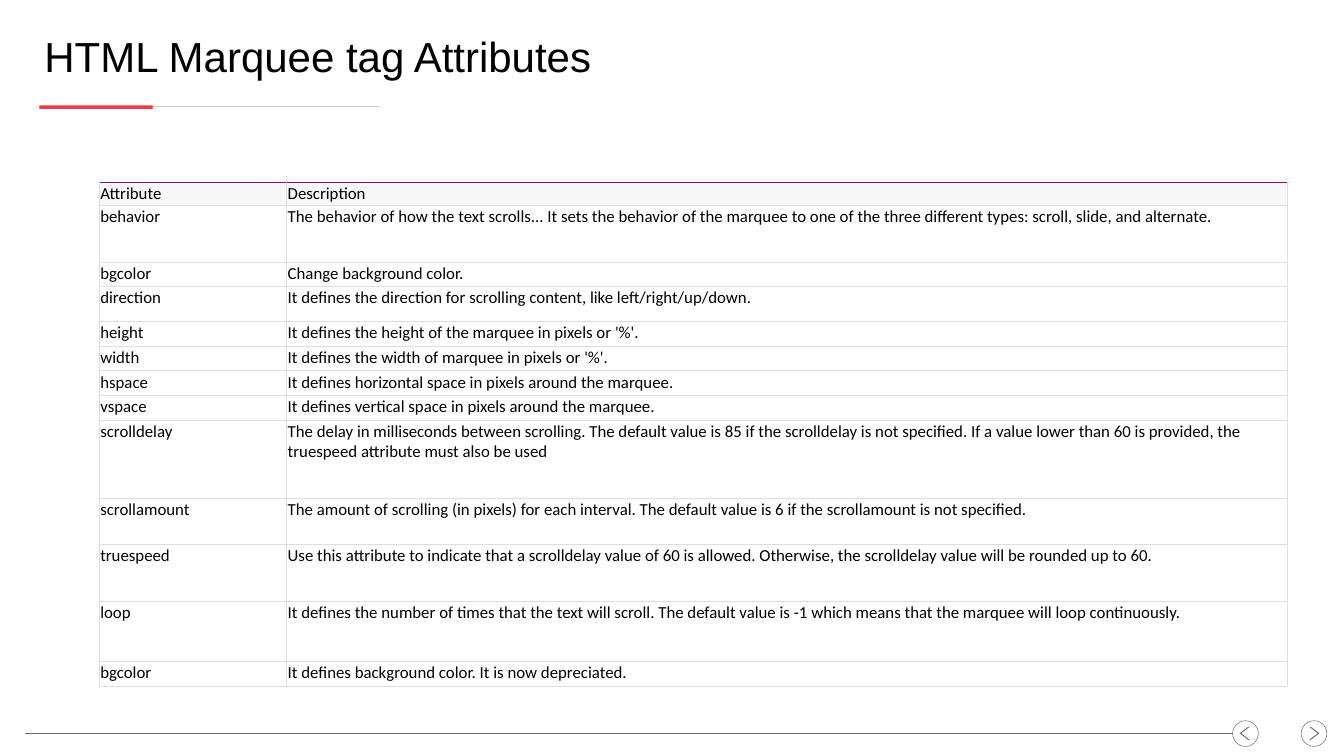
import pptx
import pptx.dml.color
import pptx.enum.shapes
import pptx.enum.text
import pptx.oxml.ns
import pptx.util
from lxml import etree

TITLE = "HTML Marquee tag Attributes"
# Attribute, description, row height in inches
ROWS = [
    ("Attribute", "Description", 0.46),
    ("behavior", "The behavior of how the text scrolls... It sets the behavior of the marquee "
     "to one of the three different types: scroll, slide, and alternate.", 1.13),
    ("bgcolor", "Change background color.", 0.46),
    ("direction", "It defines the direction for scrolling content, like left/right/up/down.", 0.7),
    ("height", "It defines the height of the marquee in pixels or '%'.", 0.49),
    ("width", "It defines the width of marquee in pixels or '%'.", 0.49),
    ("hspace", "It defines horizontal space in pixels around the marquee.", 0.49),
    ("vspace", "It defines vertical space in pixels around the marquee.", 0.49),
    ("scrolldelay", "The delay in milliseconds between scrolling. The default value is 85 if the "
     "scrolldelay is not specified. If a value lower than 60 is provided, the truespeed "
     "attribute must also be used", 1.55),
    ("scrollamount", "The amount of scrolling (in pixels) for each interval. The default value "
     "is 6 if the scrollamount is not specified.", 0.91),
    ("truespeed", "Use this attribute to indicate that a scrolldelay value of 60 is allowed. "
     "Otherwise, the scrolldelay value will be rounded up to 60.", 1.13),
    ("loop", "It defines the number of times that the text will scroll. The default value is -1 "
     "which means that the marquee will loop continuously.", 1.2),
    ("bgcolor", "It defines background color. It is now depreciated.", 0.49),
]
COLUMN_WIDTHS = (3.72, 19.86)
COLORS = {
    "text": "000000", "accent": "F23A43", "rule": "CBD0D7", "navigation": "6C6C6C",
    "border": "DDDDDD", "header": "F7F7F7", "body": "FFFFFF",
}
HEADER_TOP_BORDERS = ("900877", "900277")
WIDTH, HEIGHT = 26.67, 15
MARGIN = 0.78
RULE_Y = 2.12
BUTTON_SIZE, BUTTON_TOP = 0.51, 14.3
# Button left, chevron left, whether the chevron points back
BUTTONS = [(25.82, 25.98, False), (24.46, 24.6, True)]

Inches, Pt = pptx.util.Inches, pptx.util.Pt
Shape = pptx.enum.shapes.MSO_SHAPE
Anchor = pptx.enum.text.MSO_ANCHOR


def rgb(name):
    return pptx.dml.color.RGBColor.from_string(COLORS[name])


def add_line(slide, left, right, y, color, width):
    line = slide.shapes.add_connector(
        pptx.enum.shapes.MSO_CONNECTOR.STRAIGHT, Inches(left), Inches(y), Inches(right), Inches(y))
    line.line.color.rgb = rgb(color)
    line.line.width = Pt(width)
    etree.SubElement(line._element.spPr, pptx.oxml.ns.qn("a:effectLst"))


def add_shape(shapes, kind, left, top, width, height, fill=None, outline=None):
    shape = shapes.add_shape(kind, Inches(left), Inches(top), Inches(width), Inches(height))
    shape.shadow.inherit = False
    if fill:
        shape.fill.solid()
        shape.fill.fore_color.rgb = rgb(fill)
    else:
        shape.fill.background()
    if outline:
        shape.line.color.rgb = rgb(outline)
        shape.line.width = Pt(0.75)
    else:
        shape.line.fill.background()
    return shape


def add_title(slide):
    title = slide.shapes.title
    title.left, title.top = Inches(MARGIN), Inches(0.59)
    title.width, title.height = Inches(25.05), Inches(1.04)
    frame = title.text_frame
    frame.text = TITLE
    frame.vertical_anchor = Anchor.MIDDLE
    paragraph = frame.paragraphs[0]
    paragraph.alignment = pptx.enum.text.PP_ALIGN.LEFT
    font = paragraph.runs[0].font
    font.name, font.size, font.color.rgb = "Arial", Pt(60), rgb("text")


def add_navigation(slide):
    for left, chevron_left, back in BUTTONS:
        group = slide.shapes.add_group_shape()
        add_shape(group.shapes, Shape.OVAL, left, BUTTON_TOP, BUTTON_SIZE, BUTTON_SIZE,
                  outline="navigation")
        chevron = add_shape(group.shapes, Shape.CHEVRON, chevron_left, 14.42, 0.2, 0.26,
                            fill="navigation")
        chevron.adjustments[0] = 0.844
        if back:
            chevron._element.spPr.xfrm.set("flipH", "1")
    add_line(slide, 0.49, BUTTONS[-1][0], BUTTON_TOP + BUTTON_SIZE / 2, "navigation", 0.75)


def set_borders(cell, top_color):
    properties = cell._tc.get_or_add_tcPr()
    for side in ("lnL", "lnR", "lnT", "lnB"):
        line = etree.SubElement(properties, pptx.oxml.ns.qn("a:" + side), w=str(Pt(0.75)))
        fill = etree.SubElement(line, pptx.oxml.ns.qn("a:solidFill"))
        color = top_color if side == "lnT" else COLORS["border"]
        etree.SubElement(fill, pptx.oxml.ns.qn("a:srgbClr"), val=color)


def format_cell(cell, text, is_header, top_color):
    set_borders(cell, top_color)
    cell.fill.solid()
    cell.fill.fore_color.rgb = rgb("header" if is_header else "body")
    cell.margin_left = cell.margin_right = Inches(0.03)
    cell.margin_top = cell.margin_bottom = Inches(0.03)
    cell.vertical_anchor = Anchor.BOTTOM if is_header else Anchor.TOP
    cell.text_frame.text = text
    font = cell.text_frame.paragraphs[0].runs[0].font
    font.name, font.size, font.color.rgb = "Calibri", Pt(24), rgb("text")


def add_attribute_table(slide):
    table = slide.shapes.add_table(
        len(ROWS), len(COLUMN_WIDTHS), Inches(1.96), Inches(3.61),
        Inches(sum(COLUMN_WIDTHS)), Inches(sum(row[-1] for row in ROWS))).table
    table.first_row = table.horz_banding = False
    for column, width in zip(table.columns, COLUMN_WIDTHS):
        column.width = Inches(width)
    for row_index, (*texts, height) in enumerate(ROWS):
        table.rows[row_index].height = Inches(height)
        is_header = row_index == 0
        for column_index, text in enumerate(texts):
            top_color = HEADER_TOP_BORDERS[column_index] if is_header else COLORS["border"]
            format_cell(table.cell(row_index, column_index), text, is_header, top_color)


def main():
    presentation = pptx.Presentation()
    presentation.slide_width, presentation.slide_height = Inches(WIDTH), Inches(HEIGHT)
    slide = presentation.slides.add_slide(presentation.slide_layouts.get_by_name("Title Only"))
    add_line(slide, MARGIN, 7.52, RULE_Y, "rule", 1.5)
    add_shape(slide.shapes, Shape.RECTANGLE, MARGIN, 2.09, 2.25, 0.07, fill="accent")
    add_navigation(slide)
    add_title(slide)
    add_attribute_table(slide)
    presentation.save("out.pptx")


if __name__ == "__main__":
    main()
